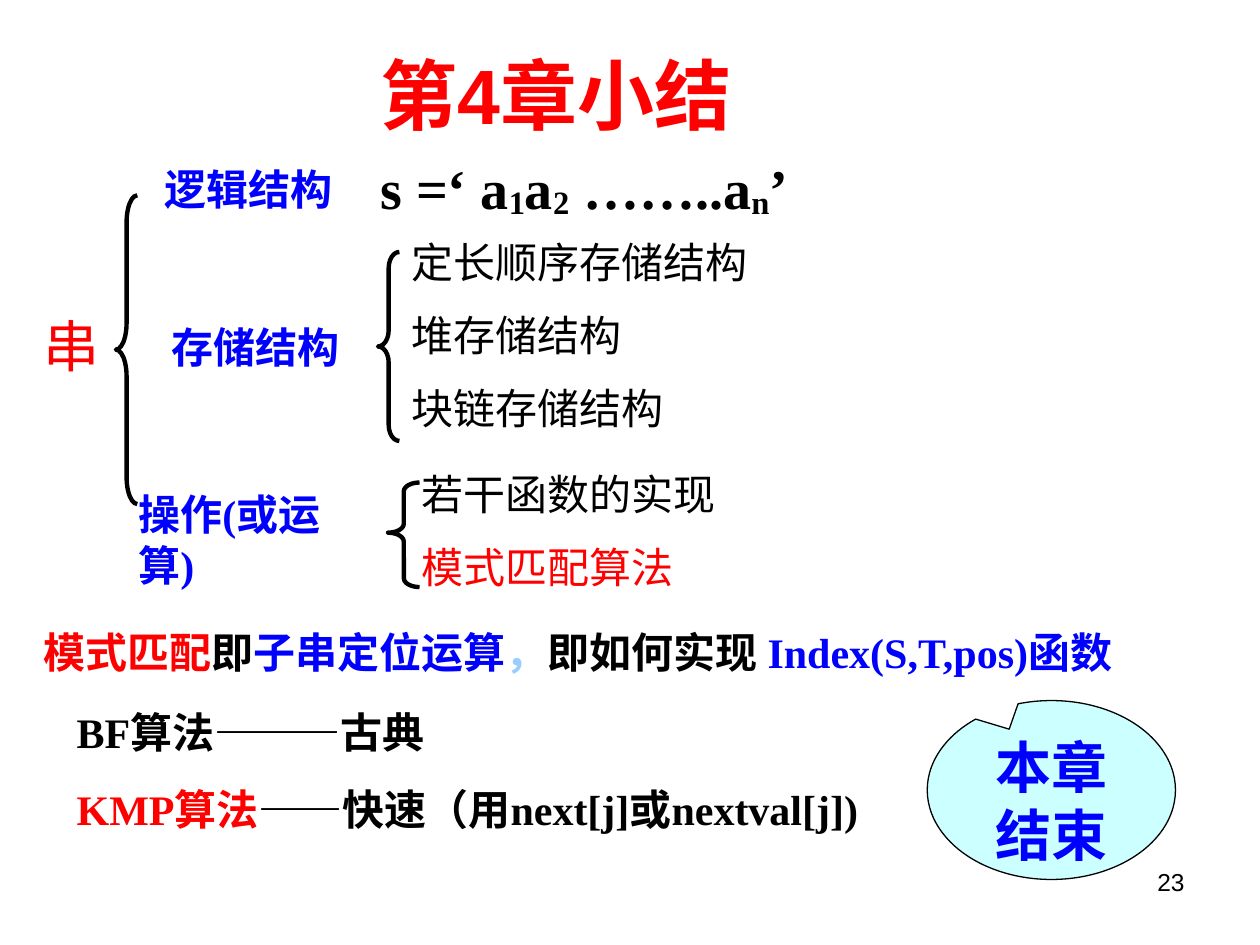
from pptx import Presentation
from pptx.dml.color import RGBColor
from pptx.enum.shapes import MSO_SHAPE
from pptx.enum.text import MSO_ANCHOR, PP_ALIGN
from pptx.oxml.ns import qn
from pptx.util import Inches, Pt
from lxml.etree import SubElement

SERIF, SANS, CJK = "Times New Roman", "Arial", "Noto Sans CJK SC"
BLACK, RED, BLUE, PALE_BLUE, CYAN = "000000", "FF0000", "0000FF", "99CCFF", "CCFFFF"
ROW_STEP = 0.58

branches = [
    ("逻辑结构", 1.21, 1.25),
    ("存储结构", 1.26, 2.5),
    ("操作(或运算)", 1, 3.83),
]
leaf_groups = [
    (3.17, 1.83, [("定长顺序存储结构", BLACK), ("堆存储结构", BLACK), ("块链存储结构", BLACK)]),
    (3.25, 3.67, [("若干函数的实现", BLACK), ("模式匹配算法", RED)]),
]
braces = [
    (0.92, 1.55, 0.17, 2.45, 1.25, 0.5),
    (3, 2, 0.17, 1.5, 0.75, 0.5),
    (3.08, 3.83, 0.25, 0.83, 0.28, 0.48),
]
string_formula = [
    ("s =‘ a", {}), ("1", {"baseline": -8}), ("a", {}), ("2", {"baseline": -8}),
    (" ……..a", {}), ("n", {"baseline": -8}), ("’", {}),
]
matching_summary = [
    ("模式匹配", {"color": RED, "font": CJK}),
    ("即", {"font": CJK}),
    ("子串定位运算", {"color": BLUE, "font": CJK}),
    ("，", {"color": PALE_BLUE, "font": CJK}),
    ("即如何实现 ", {}),
    ("Index(S,T,pos)函数", {"color": BLUE}),
]
algorithms = [
    [("BF算法———古典", {})],
    [("KMP算法", {"color": RED}), ("——快速（用next[j]或nextval[j])", {})],
]


def rgb(value):
    return RGBColor.from_string(value)


def add_run(paragraph, text, size=24, font=SERIF, color=BLACK, bold=False, baseline=0):
    run = paragraph.add_run()
    run.text = text
    run.font.size = Pt(size)
    run.font.bold = bold
    run.font.color.rgb = rgb(color)
    run.font.name = font
    properties = run.font._element
    SubElement(properties, qn("a:ea")).set("typeface", CJK)
    if baseline:
        properties.set("baseline", str(baseline * 1000))


def write(frame, content, align=PP_ALIGN.LEFT, anchor=MSO_ANCHOR.TOP, space=0, **style):
    frame.word_wrap = True
    frame.vertical_anchor = anchor
    paragraphs = [[(content, {})]] if isinstance(content, str) else content
    for index, runs in enumerate(paragraphs):
        paragraph = frame.add_paragraph() if index else frame.paragraphs[0]
        paragraph.alignment = align
        if index:
            paragraph.space_before = Pt(space)
        for text, changes in runs:
            add_run(paragraph, text, **{**style, **changes})


def add_text(content, left, top, width, height=0.5, **style):
    box = slide.shapes.add_textbox(Inches(left), Inches(top), Inches(width), Inches(height))
    write(box.text_frame, content, **style)


def add_preset(kind, left, top, width, height, adjustments, line_width):
    shape = slide.shapes.add_shape(
        kind, Inches(left), Inches(top), Inches(width), Inches(height))
    for index, value in enumerate(adjustments):
        shape.adjustments[index] = value
    shape.shadow.inherit = False
    shape.fill.background()
    shape.line.color.rgb = rgb(BLACK)
    shape.line.width = Pt(line_width)
    return shape


presentation = Presentation()
presentation.slide_width, presentation.slide_height = Inches(10), Inches(7.5)
slide = presentation.slides.add_slide(presentation.slide_layouts[6])

add_text("第4章小结", 0.83, 0.33, 7.17, 0.83, size=44, font=SANS, color=RED, bold=True,
         align=PP_ALIGN.CENTER, anchor=MSO_ANCHOR.MIDDLE)
add_text("串", 0.25, 2.42, 0.7, 0.64, size=32, color=RED)
add_text([string_formula], 2.92, 1.17, 5.67, 0.64, size=32, bold=True)

for left, top, width, height, curve, point in braces:
    add_preset(MSO_SHAPE.LEFT_BRACE, left, top, width, height, (curve, point), 2.5)

for label, left, top in branches:
    add_text(label, left, top, 2, color=BLUE, bold=True)

for left, top, leaves in leaf_groups:
    for row, (leaf, color) in enumerate(leaves):
        add_text(leaf, left, top + row * ROW_STEP, 3.5, color=color)

add_text([matching_summary], 0.25, 4.92, 9.42, bold=True)
add_text(algorithms, 0.51, 5.56, 7.05, 1.11, bold=True, space=15)

ending = add_preset(MSO_SHAPE.OVAL_CALLOUT, 7.36, 5.56, 1.97, 1.42, (-0.17, -0.34), 0.75)
ending.fill.solid()
ending.fill.fore_color.rgb = rgb(CYAN)
write(ending.text_frame, "本章结束", size=32, font=CJK, color=BLUE, bold=True,
      align=PP_ALIGN.CENTER)

add_text("23", 7.17, 6.83, 2.33, 0.52, size=14, font=SANS, align=PP_ALIGN.RIGHT)

presentation.save("out.pptx")
